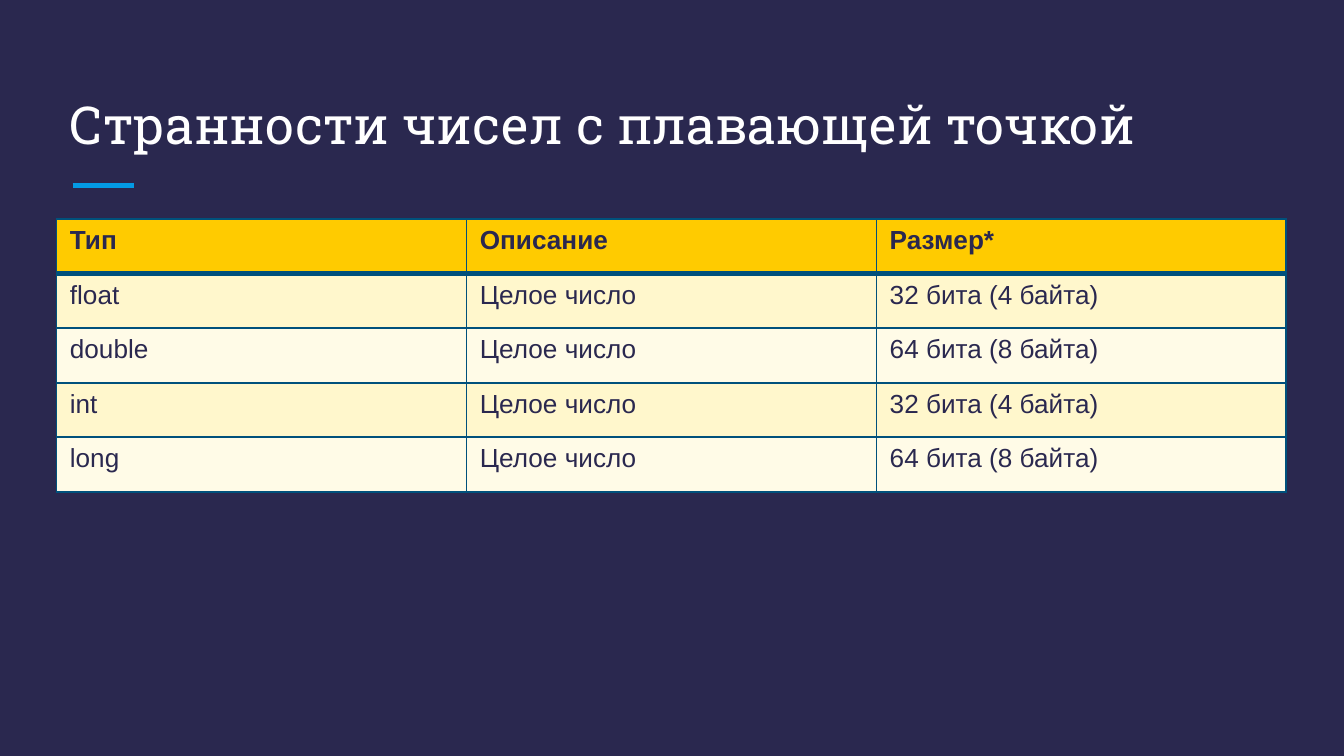
from dataclasses import dataclass

from lxml.etree import SubElement
from pptx import Presentation
from pptx.dml.color import RGBColor
from pptx.enum.shapes import MSO_CONNECTOR
from pptx.enum.text import MSO_ANCHOR, MSO_AUTO_SIZE, PP_ALIGN
from pptx.oxml.ns import qn
from pptx.util import Inches, Pt

SLIDE_WIDTH = 10
SLIDE_HEIGHT = SLIDE_WIDTH * 9 / 16
LEFT, CONTENT_WIDTH = 0.42, 9.15
TABLE_TOP, TABLE_HEIGHT = 1.63, 2.03
NAVY, WHITE, BLUE, TEAL = "2A284F", "FFFFFF", "039BE5", "00517C"
HEADER_FILL, BAND_FILLS = "FFCB00", ("FFF7CC", "FFFBE7")
THIN, THICK = 1, 3


@dataclass(frozen=True)
class NumberType:
    """One table row: a type, its description and its size."""
    name: str
    description: str
    size: str


ROWS = (
    NumberType("Тип", "Описание", "Размер*"),
    NumberType("float", "Целое число", "32 бита (4 байта)"),
    NumberType("double", "Целое число", "64 бита (8 байта)"),
    NumberType("int", "Целое число", "32 бита (4 байта)"),
    NumberType("long", "Целое число", "64 бита (8 байта)"),
)


def color(value: str) -> RGBColor:
    """Turn a hex string into a colour."""
    return RGBColor.from_string(value)


def set_attributes(target, values: dict) -> None:
    """Set every named attribute on the target."""
    for name, value in values.items():
        setattr(target, name, value)


def write_text(frame, text: str, font: str, size: float, ink: str, bold: bool = False) -> None:
    """Write one left-aligned, formatted paragraph."""
    para = frame.paragraphs[0]
    para.alignment = PP_ALIGN.LEFT
    span = para.add_run()
    span.text = text
    set_attributes(span.font, {"name": font, "size": Pt(size), "bold": bold})
    span.font.color.rgb = color(ink)


def add_title(page, text: str) -> None:
    """Place and format the title placeholder."""
    title = page.shapes.title
    set_attributes(title, {"left": Inches(LEFT), "top": Inches(0.5),
                           "width": Inches(CONTENT_WIDTH), "height": Inches(0.75)})
    margins = {f"margin_{side}": Inches(0.1) for side in ("left", "top", "right", "bottom")}
    set_attributes(title.text_frame, {"vertical_anchor": MSO_ANCHOR.BOTTOM, "word_wrap": True,
                                      "auto_size": MSO_AUTO_SIZE.NONE, **margins})
    write_text(title.text_frame, text, "Roboto Slab", 28, WHITE)


def add_accent(page) -> None:
    """Draw the short line under the title."""
    accent = page.shapes.add_connector(MSO_CONNECTOR.STRAIGHT, Inches(0.54), Inches(1.38),
                                       Inches(1), Inches(1.38))
    accent.line.color.rgb = color(BLUE)
    accent.line.width = Pt(3)
    SubElement(accent.element.spPr, qn("a:effectLst"))


def add_borders(cell, widths: dict[str, float]) -> None:
    """Draw the cell's edges, keyed L, R, T and B, in points."""
    properties = cell._tc.get_or_add_tcPr()
    for edge, width in widths.items():
        line = SubElement(properties, qn(f"a:ln{edge}"), w=str(Pt(width)))
        fill = SubElement(line, qn("a:solidFill"))
        SubElement(fill, qn("a:srgbClr"), val=TEAL)


def format_cell(cell, text: str, row: int) -> None:
    """Fill, frame and write one cell according to its row."""
    header = row == 0
    set_attributes(cell, {"margin_left": Inches(0.1), "margin_right": Inches(0.1),
                          "margin_top": Inches(0.05), "margin_bottom": Inches(0.05),
                          "vertical_anchor": MSO_ANCHOR.TOP})
    add_borders(cell, {"L": THIN, "R": THIN, "T": THICK if row == 1 else THIN,
                       "B": THICK if header else THIN})
    cell.fill.solid()
    cell.fill.fore_color.rgb = color(HEADER_FILL if header else BAND_FILLS[(row - 1) % 2])
    write_text(cell.text_frame, text, "Arial", 14, NAVY, header)


def add_type_table(page) -> None:
    """Build the table of number types."""
    table = page.shapes.add_table(len(ROWS), 3, Inches(LEFT), Inches(TABLE_TOP),
                                  Inches(CONTENT_WIDTH), Inches(TABLE_HEIGHT)).table
    for row, entry in enumerate(ROWS):
        for column, text in enumerate((entry.name, entry.description, entry.size)):
            format_cell(table.cell(row, column), text, row)


def main() -> None:
    """Build and save the deck."""
    deck = Presentation()
    set_attributes(deck, {"slide_width": Inches(SLIDE_WIDTH),
                          "slide_height": Inches(SLIDE_HEIGHT)})
    page = deck.slides.add_slide(deck.slide_layouts.get_by_name("Title Only"))
    page.background.fill.solid()
    page.background.fill.fore_color.rgb = color(NAVY)
    add_accent(page)
    add_title(page, "Странности чисел с плавающей точкой")
    add_type_table(page)
    deck.save("out.pptx")


main()
